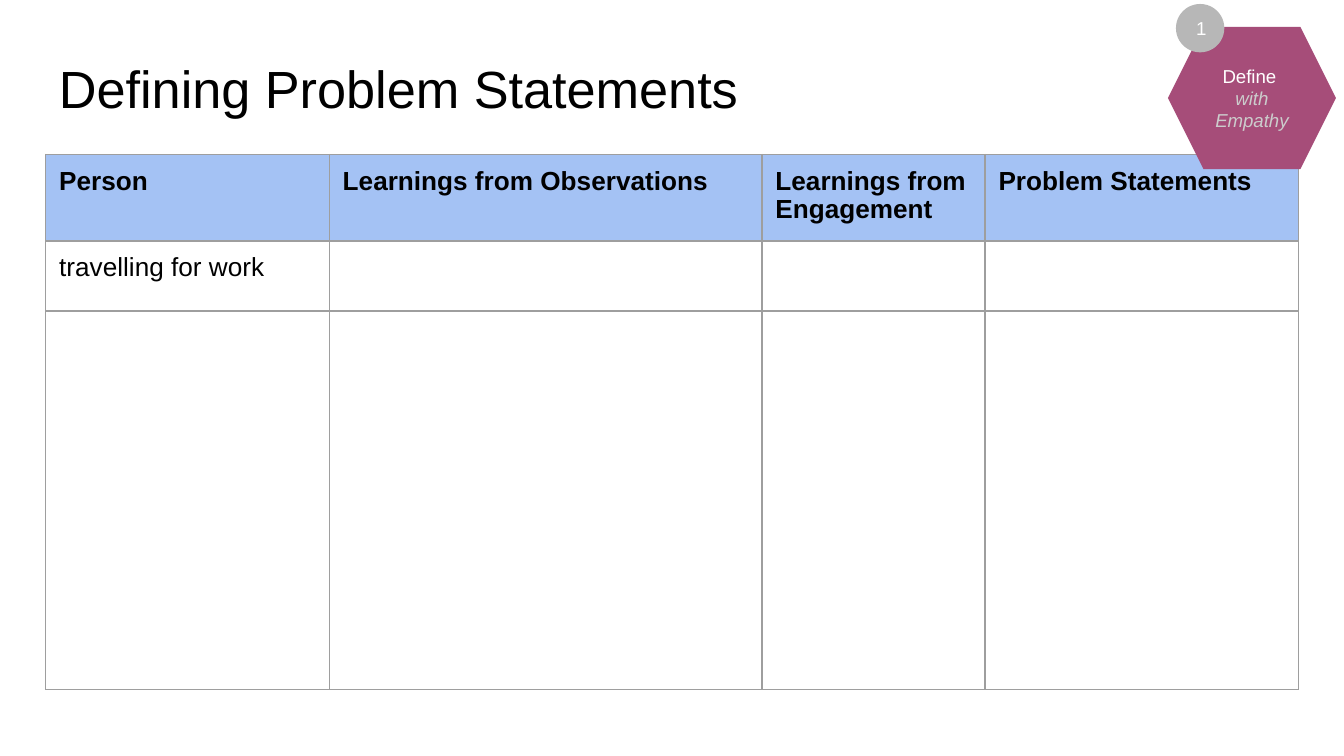
from lxml import etree
from pptx import Presentation
from pptx.dml.color import RGBColor
from pptx.enum.shapes import MSO_SHAPE
from pptx.enum.text import MSO_ANCHOR, PP_ALIGN
from pptx.oxml.ns import qn
from pptx.util import Inches, Pt

HEXAGON, OVAL = MSO_SHAPE.HEXAGON, MSO_SHAPE.OVAL
TOP, MIDDLE = MSO_ANCHOR.TOP, MSO_ANCHOR.MIDDLE
LEFT, CENTER = PP_ALIGN.LEFT, PP_ALIGN.CENTER

FONT = "Arial"
COLORS = {
    "black": "000000",
    "white": "FFFFFF",
    "header": "A4C2F4",
    "border": "9E9E9E",
    "badge": "A64D79",
    "badge_soft": "CCCCCC",
    "number": "B7B7B7",
}


class SlideBuilder:
    """Holds the style and the current slide."""

    def __init__(self, prs):
        self.s = prs.slides.add_slide(prs.slide_layouts[6])

    def color(self, name):
        return RGBColor.from_string(COLORS[name])

    def paragraph(self, p, text, size, color="black", bold=False,
                  italic=False, align=LEFT):
        p.alignment = align
        r = p.add_run()
        r.text = text
        r.font.name = FONT
        r.font.size = Pt(size)
        r.font.bold = bold
        r.font.italic = italic
        r.font.color.rgb = self.color(color)

    def insets(self, frame):
        """Same margins for a text frame or a table cell."""
        frame.margin_left = frame.margin_right = Inches(0.1)
        frame.margin_top = frame.margin_bottom = Inches(0.1)

    def text(self, box, text, size):
        tf = self.s.shapes.add_textbox(*map(Inches, box)).text_frame
        tf.word_wrap = True
        tf.vertical_anchor = TOP
        self.insets(tf)
        self.paragraph(tf.paragraphs[0], text, size)

    def shape(self, kind, box, fill, lines):
        """Filled shape with centred lines of (text, color, italic)."""
        sp = self.s.shapes.add_shape(kind, *map(Inches, box))
        sp.shadow.inherit = False
        sp.fill.solid()
        sp.fill.fore_color.rgb = self.color(fill)
        sp.line.fill.background()
        tf = sp.text_frame
        tf.word_wrap = True
        tf.vertical_anchor = MIDDLE
        self.insets(tf)
        for i, (text, color, italic) in enumerate(lines):
            p = tf.add_paragraph() if i else tf.paragraphs[0]
            self.paragraph(p, text, 10, color, italic=italic, align=CENTER)
        return sp

    def borders(self, cell):
        tc_pr = cell._tc.get_or_add_tcPr()
        for i, side in enumerate(("lnL", "lnR", "lnT", "lnB")):
            ln = etree.Element(qn(f"a:{side}"), w=str(Pt(0.75)))
            fill = etree.SubElement(ln, qn("a:solidFill"))
            etree.SubElement(fill, qn("a:srgbClr"), val=COLORS["border"])
            tc_pr.insert(i, ln)

    def table(self, left, top, widths, heights, rows):
        """Table whose first row is the header."""
        frame = self.s.shapes.add_table(
            len(rows), len(widths), Inches(left), Inches(top),
            Inches(sum(widths)), Inches(sum(heights)))
        table = frame.table
        table.horz_banding = False
        for column, width in zip(table.columns, widths):
            column.width = Inches(width)
        for row, height in zip(table.rows, heights):
            row.height = Inches(height)
        for i, texts in enumerate(rows):
            for j, text in enumerate(texts):
                cell = table.cell(i, j)
                self.insets(cell)
                if i == 0:
                    cell.fill.solid()
                    cell.fill.fore_color.rgb = self.color("header")
                else:
                    cell.fill.background()
                self.borders(cell)
                if text:
                    p = cell.text_frame.paragraphs[0]
                    p.line_spacing = 0.95
                    self.paragraph(p, text, 14, bold=i == 0)


def main():
    prs = Presentation()
    # Widescreen, 16:9
    prs.slide_width, prs.slide_height = Inches(10), Inches(10 * 9 / 16)
    slide = SlideBuilder(prs)

    # Title
    slide.text((0.34, 0.32, 9.32, 0.63), "Defining Problem Statements", 28)

    # Problem statement table
    slide.table(0.34, 1.15, (2.11, 3.22, 1.66, 2.33), (0.63, 0.52, 2.82), (
        ("Person", "Learnings from Observations",
         "Learnings from Engagement", "Problem Statements"),
        ("travelling for work", "", "", ""),
        ("", "", "", ""),
    ))

    # Stage badge with its number
    badge = slide.shape(HEXAGON, (8.69, 0.2, 1.25, 1.06), "badge", (
        ("Define ", "white", False),
        ("with Empathy", "badge_soft", True),
    ))
    badge.adjustments[0] = 0.25
    slide.shape(OVAL, (8.75, 0.03, 0.36, 0.36), "number",
                (("1", "white", False),))

    prs.save("out.pptx")


if __name__ == "__main__":
    main()
